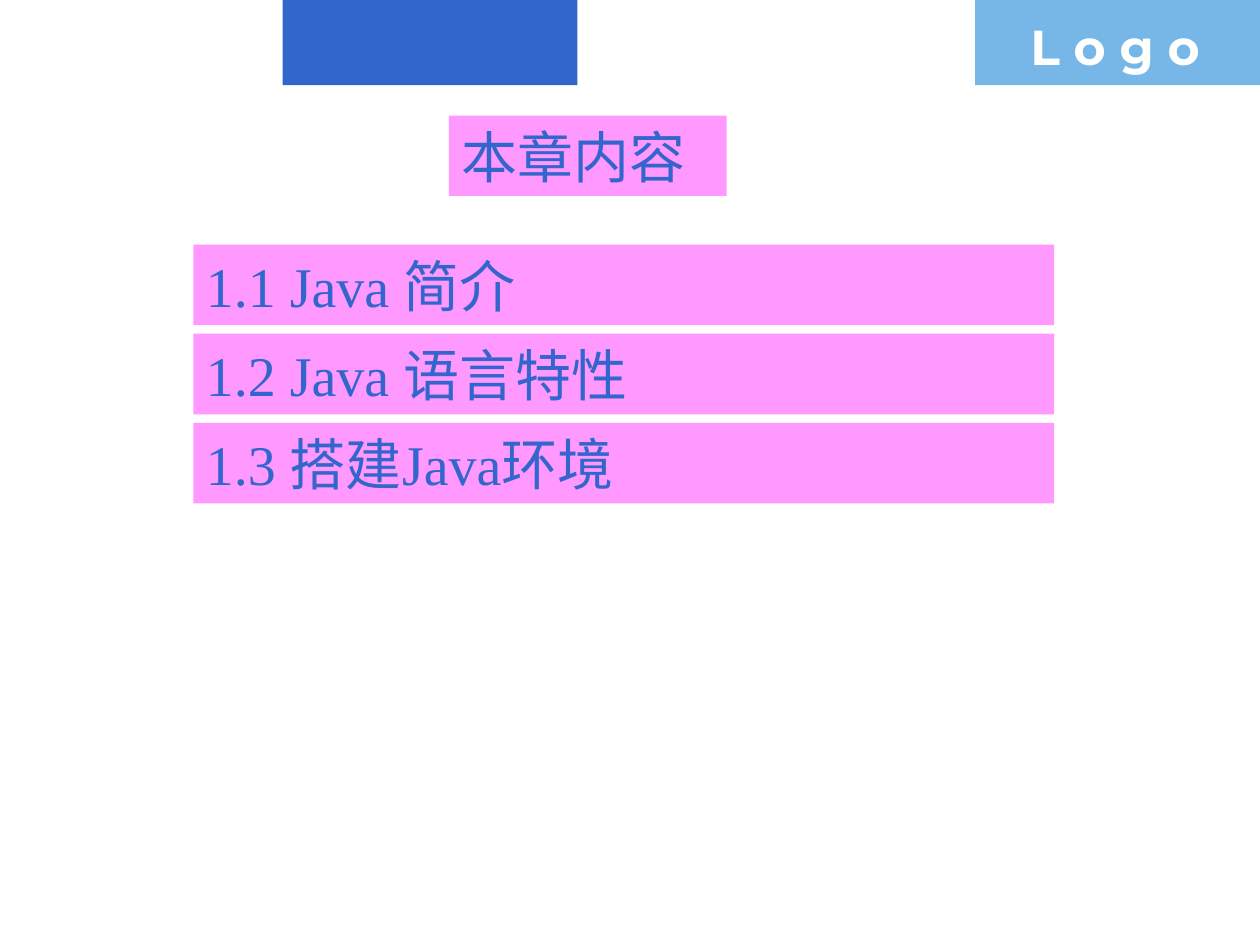
import pptx
import pptx.dml.color
import pptx.enum.shapes
import pptx.enum.text
import pptx.util
from pptx.util import Cm

BLUE, SKY, PINK, WHITE = "3366CC", "77B7E7", "FF99FF", "FFFFFF"
TOPICS = ["1.1 Java 简介", "1.2 Java 语言特性", "1.3 搭建Java环境"]

FRAME_FORMAT = {
    "word_wrap": True,
    "auto_size": pptx.enum.text.MSO_AUTO_SIZE.SHAPE_TO_FIT_TEXT,
    "margin_left": Cm(0.25),
    "margin_right": Cm(0.25),
    "margin_top": Cm(0.13),
    "margin_bottom": Cm(0.13),
}
LABEL_FONT = {"name": "Times New Roman", "size": pptx.util.Pt(32), "bold": False}
LOGO_FONT = {"name": "Montserrat", "size": pptx.util.Pt(28), "bold": True}


def rgb(value):
    return pptx.dml.color.RGBColor.from_string(value)


def apply_format(target, values):
    for attribute, value in values.items():
        setattr(target, attribute, value)


def add_bar(slide, left, top, width, height, color):
    bar = slide.shapes.add_shape(
        pptx.enum.shapes.MSO_SHAPE.RECTANGLE,
        Cm(left), Cm(top), Cm(width), Cm(height))
    bar.shadow.inherit = False
    bar.fill.solid()
    bar.fill.fore_color.rgb = rgb(color)
    bar.line.fill.background()
    return bar


def write_line(holder, text, font, color, anchor):
    frame = holder.text_frame
    apply_format(frame, {**FRAME_FORMAT, "vertical_anchor": anchor})
    line = frame.paragraphs[0]
    line.alignment = pptx.enum.text.PP_ALIGN.LEFT
    run = line.add_run()
    run.text = text
    apply_format(run.font, font)
    run.font.color.rgb = rgb(color)


def add_label(slide, left, top, width, height, text):
    label = add_bar(slide, left, top, width, height, PINK)
    write_line(label, text, LABEL_FONT, BLUE, pptx.enum.text.MSO_ANCHOR.BOTTOM)


def add_header(slide, left, top, width, height):
    # Blue block and logo block
    add_bar(slide, left, top, 5.94, height, BLUE)
    logo_width = 5.74
    logo_left = left + width - logo_width
    add_bar(slide, logo_left, top, logo_width, height, SKY)
    # Logo wording
    logo = slide.shapes.add_textbox(
        Cm(logo_left + 0.86), Cm(top + 0.2), Cm(4.88), Cm(1.45))
    write_line(logo, "L o g o", LOGO_FONT, WHITE, pptx.enum.text.MSO_ANCHOR.TOP)


def add_agenda(slide, left, top, width, height):
    # Equal bars with a narrow gap between them
    gap = 0.17
    bar_height = (height - gap * (len(TOPICS) - 1)) / len(TOPICS)
    for index, topic in enumerate(TOPICS):
        bar_top = top + index * (bar_height + gap)
        add_label(slide, left, bar_top, width, bar_height, topic)


def main():
    deck = pptx.Presentation()
    deck.slide_width, deck.slide_height = Cm(25.4), Cm(19.05)
    slide = deck.slides.add_slide(deck.slide_layouts[6])
    add_header(slide, 5.7, 0, 19.7, 1.72)
    add_agenda(slide, 3.9, 4.93, 17.35, 5.22)
    # Chapter heading
    add_label(slide, 9.05, 2.33, 5.6, 1.62, "本章内容")
    deck.save("out.pptx")


if __name__ == "__main__":
    main()
